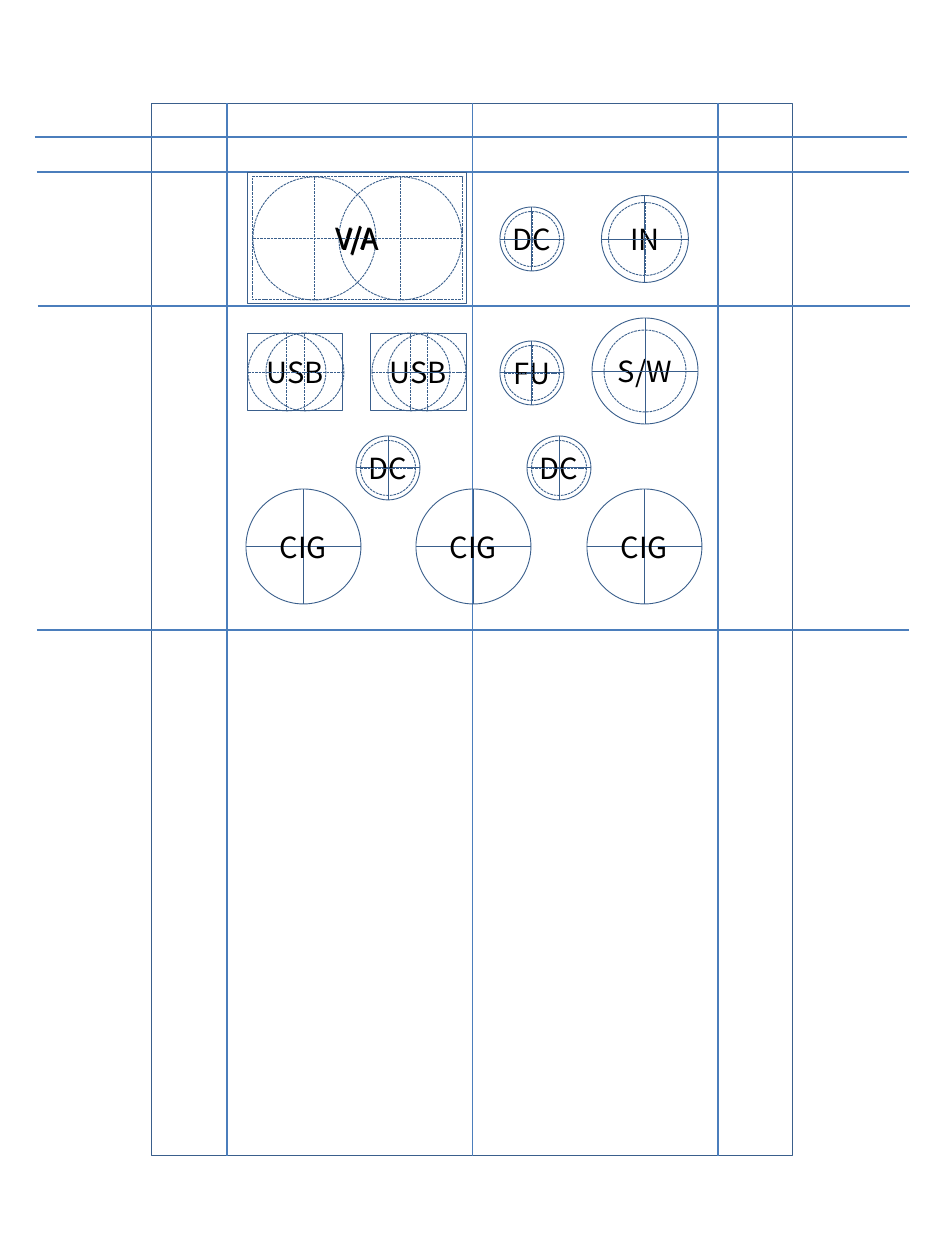
from dataclasses import dataclass

from lxml.etree import SubElement
from pptx import Presentation
from pptx.dml.color import RGBColor
from pptx.enum.dml import MSO_LINE
from pptx.enum.shapes import MSO_CONNECTOR, MSO_SHAPE
from pptx.enum.text import MSO_ANCHOR, PP_ALIGN
from pptx.oxml.ns import qn
from pptx.util import Inches, Pt


@dataclass(frozen=True)
class Theme:
    outline: RGBColor = RGBColor(0x3A, 0x5F, 0x8C)
    guide: RGBColor = RGBColor(0x4B, 0x7E, 0xBC)
    text: RGBColor = RGBColor(0, 0, 0)
    font: str = "Noto Sans CJK KR"
    label_size: float = Pt(16.6)
    outline_width: float = Pt(0.5)
    guide_width: float = Pt(0.75)


THEME = Theme()
PX = Inches(1) / 126


def add_outline(shapes, kind, box, label="", dashed=False):
    """Draw an unfilled shape; box is left, top, width, height in px."""
    shape = shapes.add_shape(kind, *(round(length * PX) for length in box))
    shape.shadow.inherit = False
    shape.fill.background()
    shape.line.color.rgb = THEME.outline
    shape.line.width = THEME.outline_width
    if dashed:
        shape.line.dash_style = MSO_LINE.SQUARE_DOT
    if label:
        frame = shape.text_frame
        frame_format = dict.fromkeys(
            ("margin_left", "margin_top", "margin_right", "margin_bottom"), 0)
        frame_format.update(vertical_anchor=MSO_ANCHOR.MIDDLE, word_wrap=False)
        for name, value in frame_format.items():
            setattr(frame, name, value)
        paragraph = frame.paragraphs[0]
        paragraph.alignment = PP_ALIGN.CENTER
        run = paragraph.add_run()
        run.text = label
        for name, value in {"name": THEME.font, "size": THEME.label_size}.items():
            setattr(run.font, name, value)
        run.font.color.rgb = THEME.text
    return shape


def add_guide(shapes, start_x, start_y, end_x, end_y):
    ends = (round(length * PX) for length in (start_x, start_y, end_x, end_y))
    connector = shapes.add_connector(MSO_CONNECTOR.STRAIGHT, *ends)
    connector.line.color.rgb = THEME.guide
    connector.line.width = THEME.guide_width
    SubElement(connector._element.spPr, qn("a:effectLst"))
    return connector


presentation = Presentation()
presentation.slide_width = Inches(7.5)
presentation.slide_height = Inches(10)
slide = presentation.slides.add_slide(presentation.slide_layouts[6])
shapes = slide.shapes
CROSSED_CIRCLE = MSO_SHAPE.FLOWCHART_OR

# Panel and guides
PANEL_TOP, PANEL_HEIGHT = 103, 1053
panel = add_outline(shapes, MSO_SHAPE.RECTANGLE, (152, PANEL_TOP, 641, PANEL_HEIGHT))
for x in (227, 718):
    add_guide(shapes, x, PANEL_TOP, x, PANEL_TOP + PANEL_HEIGHT)
centre_guide = add_guide(shapes, 473, PANEL_TOP, 473, PANEL_TOP + PANEL_HEIGHT)
centre_guide.begin_connect(panel, 0)
centre_guide.end_connect(panel, 2)
for left, y in ((35, 137), (37, 172), (38, 306), (37, 630)):
    add_guide(shapes, left, y, left + 872, y)

# Rectangular cutouts: label, box, drill circle size, drill circle corners
cutouts = (
    ("V/A", (247, 172, 219, 132), 123, ((253, 177), (339, 177))),
    ("USB", (247, 333, 96, 78), 78, ((248, 333), (266, 333))),
    ("USB", (370, 333, 96, 78), 78, ((372, 333), (388, 333))),
)
for label, box, diameter, corners in cutouts:
    group = shapes.add_group_shape()
    add_outline(group.shapes, MSO_SHAPE.RECTANGLE, box, label)
    for corner in corners:
        add_outline(group.shapes, CROSSED_CIRCLE, (*corner, diameter, diameter), dashed=True)
    if label == "V/A":
        add_outline(group.shapes, MSO_SHAPE.RECTANGLE, (252, 177, 211, 123), label, dashed=True)

# Round sockets: label, centre, outer diameter, inner diameter
sockets = (
    ("DC", 532, 239, 64, 55),
    ("IN", 645, 239, 87, 73),
    ("FU", 532, 373, 64, 55),
    ("S/W", 645, 371, 106, 82),
    ("DC", 388, 468, 64, 55),
    ("DC", 559, 468, 64, 55),
)
for label, x, y, outer, inner in sockets:
    group = shapes.add_group_shape()
    for diameter, text, dashed in ((outer, label, False), (inner, "", True)):
        box = (x - diameter / 2, y - diameter / 2, diameter, diameter)
        add_outline(group.shapes, CROSSED_CIRCLE, box, text, dashed)

for left in (246, 416, 587):
    add_outline(shapes, CROSSED_CIRCLE, (left, 489, 115, 115), "CIG")

presentation.save("out.pptx")
